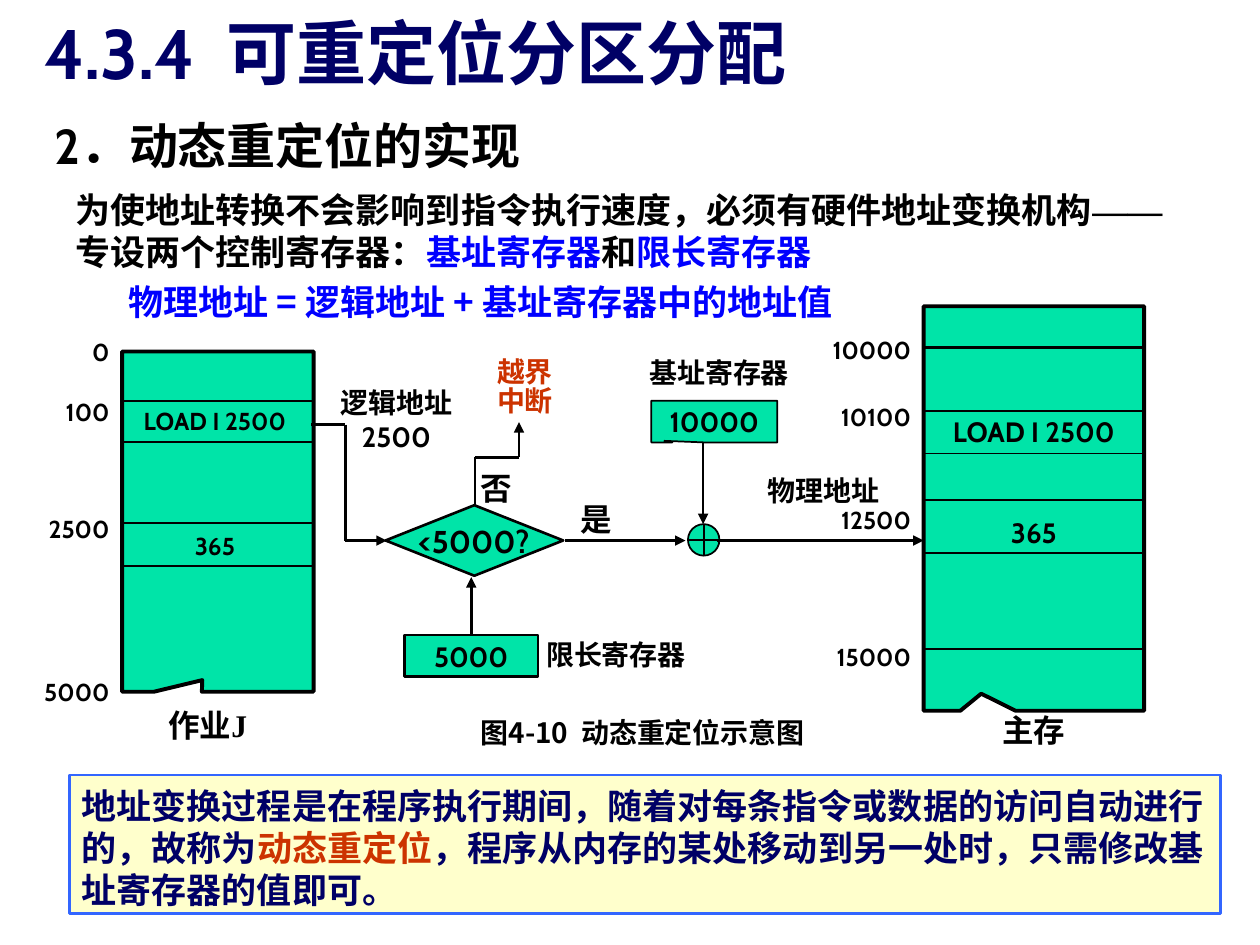
from lxml import etree
from pptx import Presentation
from pptx.dml.color import RGBColor
from pptx.enum.shapes import MSO_CONNECTOR, MSO_SHAPE
from pptx.enum.text import MSO_ANCHOR, MSO_AUTO_SIZE, PP_ALIGN
from pptx.oxml.ns import qn
from pptx.util import Pt

L, C, R = PP_ALIGN.LEFT, PP_ALIGN.CENTER, PP_ALIGN.RIGHT
TOP, MID, LOW = MSO_ANCHOR.TOP, MSO_ANCHOR.MIDDLE, MSO_ANCHOR.BOTTOM
CALL, RECT = MSO_SHAPE.RECTANGULAR_CALLOUT, MSO_SHAPE.RECTANGLE
SUM, TEST = MSO_SHAPE.FLOWCHART_OR, MSO_SHAPE.FLOWCHART_DECISION

HEX = {"black": "000000", "navy": "000066", "blue": "0000FF", "red": "CC3300",
       "green": "00E4A8", "cream": "FFFFCC", "edge": "3366FF"}
LATIN, HAN, SERIF = "Cabin", "Noto Sans CJK SC", "Times New Roman"

# Runs: text, font, colour
TITLE = [("4.3.4  ", LATIN, "navy"), ("可重定位分区分配", HAN, "navy")]
HEAD = [("2", LATIN, "black"), ("．动态重定位的实现", HAN, "black")]
BODY = [("为使地址转换不会影响到指令执行速度，必须有硬件地址变换机构", HAN, "black"),
        ("——", SERIF, "black"),
        ("专设两个控制寄存器：", LATIN, "black"),
        ("基址寄存器", LATIN, "blue"),
        ("和", LATIN, "black"),
        ("限长寄存器", LATIN, "blue")]
RULE = [("物理地址 = 逻辑地址 + 基址寄存器中的地址值", HAN, "blue")]
NOTE = [("地址变换过程是在程序执行期间，随着对每条指令或数据的访问自动进行的，故称为", HAN, "navy"),
        ("动态重定位", HAN, "red"),
        ("，程序从内存的某处移动到另一处时，只需修改基址寄存器的值即可。", HAN, "navy")]
JOB = [("作业", LATIN, "black"), ("J", SERIF, "black")]
FIGURE = [("图4-10  动态重定位示意图", HAN, "black")]

# Kind, left, top, width, height, line width, adjustments, text
SHAPES = [
    (CALL, 69.8, 200.9, 109.4, 194.4, 2.25, (-0.081, 0.466), ""),
    (CALL, 372.2, 229, 72, 23.8, 1, (-0.396, 0.464), "10000"),
    (CALL, 527.8, 175, 126, 231.1, 2.25, (-0.239, 0.458), ""),
    (SUM, 393.1, 299.5, 18, 18, 1, (), ""),
    (RECT, 231.1, 362.9, 76.3, 23.8, 1.5, (), "5000"),
    (TEST, 220.3, 288.7, 101.5, 40.3, 1.5, (), ""),
]

# Left, right, then (height, line width) of each divider
ROWS = [
    (69.8, 179.2, [(229, 1), (252.7, 1), (298.8, 1), (323.3, 1)]),
    (527.8, 653.8, [(198.7, 1.5), (234.7, 1), (259.2, 1),
                    (285.8, 1), (316.1, 1), (370.8, 1.5)]),
]

# Points along each path; the last leg carries the arrowhead
PATHS = [
    [(177.8, 242.6), (197.3, 242.6), (197.3, 308.9), (221, 308.9)],
    [(271.4, 289.4), (271.4, 261.4), (296.6, 261.4), (296.6, 241.2)],
    [(269.3, 362.9), (269.3, 329.8)],
    [(322.6, 308.9), (391.7, 308.9)],
    [(401.8, 252.7), (401.8, 299.5)],
    [(409.7, 308.9), (527.8, 308.9)],
]

# Right edge, then (address, middle height)
MARKS = [
    (62.6, [("0", 201), ("100", 235), ("2500", 302), ("5000", 395)]),
    (520.6, [("10000", 200), ("10100", 238), ("12500", 297), ("15000", 375)]),
]

# Text, centre x, middle y, size
LABELS = [
    ("LOAD I 2500", 122.8, 240.5, 14), ("365", 122.8, 312, 14),
    ("LOAD I 2500", 590.8, 246.5, 16), ("365", 590.8, 304, 16),
    ("基址寄存器", 411, 213, 16), ("限长寄存器", 352, 374, 16),
    ("物理地址", 470.5, 280, 16), ("主存", 590.8, 417, 18),
    ("<5000?", 270.7, 309, 18), ("否", 283.7, 279, 18), ("是", 341, 296.6, 18),
]

# Lines, centre x, middle y, line pitch, colour
STACKS = [
    (["逻辑地址", "2500"], 226.5, 239.5, 19.5, "black"),
    (["越界", "中断"], 300, 221.5, 17, "red"),
]


def rgb(name):
    return RGBColor.from_string(HEX[name])


def write(frame, paras, size, align=L, anchor=MID, pad=(0, 0, 0, 0), pitch=None):
    """Fill a frame with paragraphs, each a list of runs."""
    frame.word_wrap = True
    frame.auto_size = MSO_AUTO_SIZE.NONE
    frame.vertical_anchor = anchor
    (frame.margin_left, frame.margin_top,
     frame.margin_right, frame.margin_bottom) = map(Pt, pad)
    for i, runs in enumerate(paras):
        para = frame.paragraphs[0] if i == 0 else frame.add_paragraph()
        para.alignment = align
        para.space_before = Pt(0)
        if pitch:
            para.line_spacing = Pt(pitch)
        for text, face, tint in runs:
            run = para.add_run()
            run.text = text
            font = run.font
            font.name, font.size, font.bold = face, Pt(size), True
            font.color.rgb = rgb(tint)
            east = SERIF if face == SERIF else HAN
            etree.SubElement(run._r.get_or_add_rPr(), qn("a:ea"), typeface=east)


def label(paras, x, mid, wide, size, align=L, pitch=None):
    """Put text in a box whose middle height is mid."""
    high = (pitch or size * 1.5) * len(paras)
    box = slide.shapes.add_textbox(Pt(x), Pt(mid - high / 2), Pt(wide), Pt(high))
    write(box.text_frame, paras, size, align, pitch=pitch)


def block(kind, x, y, wide, high, fill, edge, thick):
    shape = slide.shapes.add_shape(kind, Pt(x), Pt(y), Pt(wide), Pt(high))
    shape.shadow.inherit = False
    shape.fill.solid()
    shape.fill.fore_color.rgb = rgb(fill)
    shape.line.color.rgb = rgb(edge)
    shape.line.width = Pt(thick)
    return shape


def link(start, end, thick, arrow=False):
    line = slide.shapes.add_connector(MSO_CONNECTOR.STRAIGHT, *map(Pt, start + end))
    line.line.color.rgb = rgb("black")
    line.line.width = Pt(thick)
    props = line._element.spPr
    if arrow:
        etree.SubElement(props.find(qn("a:ln")), qn("a:tailEnd"), type="triangle")
    etree.SubElement(props, qn("a:effectLst"))


deck = Presentation()
deck.slide_width, deck.slide_height = Pt(720), Pt(540)
slide = deck.slides.add_slide(deck.slide_layouts[5])

title = slide.shapes.title
title.left, title.top, title.width, title.height = map(Pt, (18, 10.8, 527.8, 42.5))
write(title.text_frame, [TITLE], 40, anchor=LOW, pad=(7.2, 0, 7.2, 0))

label([HEAD], 31, 83, 390, 28)
body = slide.shapes.add_textbox(Pt(36), Pt(104), Pt(642.2), Pt(55.4))
write(body.text_frame, [BODY], 20, anchor=TOP, pad=(7.2, 3.6, 7.2, 3.6), pitch=24)
label([RULE], 73.4, 172, 446, 20)

for kind, x, y, wide, high, thick, bends, text in SHAPES:
    shape = block(kind, x, y, wide, high, "green", "black", thick)
    for i, bend in enumerate(bends):
        shape.adjustments[i] = bend
    if text:
        write(shape.text_frame, [[(text, LATIN, "black")]], 16, C)

for left, right, rows in ROWS:
    for y, thick in rows:
        link((left, y), (right, y), thick)

for path in PATHS:
    for start, end in zip(path, path[1:]):
        link(start, end, 1.5, end == path[-1])

for right, marks in MARKS:
    for text, mid in marks:
        label([[(text, LATIN, "black")]], right - 52, mid, 52, 14, R)

for text, x, mid, size in LABELS:
    label([[(text, LATIN, "black")]], x - 50, mid, 100, size, C)
for lines, x, mid, pitch, tint in STACKS:
    label([[(text, LATIN, tint)] for text in lines], x - 40, mid, 80, 16, C, pitch)
label([JOB], 82.8, 414, 72, 18, C)
label([FIGURE], 257.8, 418.5, 219, 16, C)

note = block(RECT, 39.6, 442.8, 658, 79.2, "cream", "edge", 1.5)
write(note.text_frame, [NOTE], 20, anchor=TOP, pad=(7.2, 5.6, 7.2, 3.6), pitch=24)

deck.save("out.pptx")
